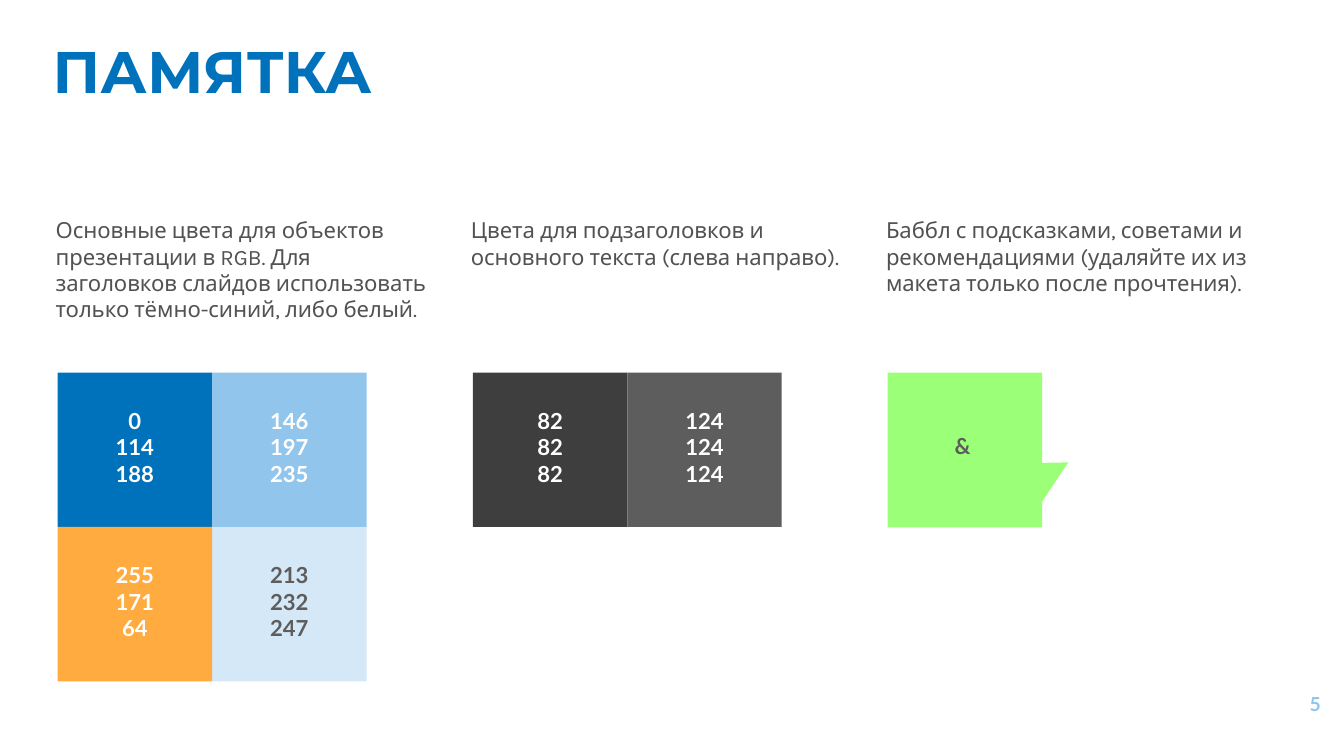
from pptx import Presentation
from pptx.dml.color import RGBColor
from pptx.enum.shapes import MSO_SHAPE
from pptx.enum.text import MSO_ANCHOR, MSO_AUTO_SIZE, PP_ALIGN
from pptx.util import Emu, Pt

PX = 9144  # 100 px to the inch
COLORS = {
    "blue": "0072BC", "sky": "92C5EB", "orange": "FFAB40", "pale": "D5E8F7",
    "dark": "3E3E3E", "gray": "5D5D5D", "green": "9BFF77",
    "body": "525252", "white": "FFFFFF",
}
SIDE = 311  # swatch side
SWATCH_TOP = 750
COLUMN_LEFT, COLUMN_STEP = 102, 836

NOTES = [
    "Основные цвета для объектов презентации в RGB. "
    "Для заголовков слайдов использовать только тёмно-синий, либо белый.",
    "Цвета для подзаголовков и основного текста (слева направо).",
    "Баббл с подсказками, советами и рекомендациями "
    "(удаляйте их из макета только после прочтения).",
]
# left of the block, column, row, fill, text colour, RGB values
SWATCHES = [
    (116, 0, 0, "blue", "white", (0, 114, 188)),
    (116, 1, 1, "pale", "gray", (213, 232, 247)),
    (116, 1, 0, "sky", "white", (146, 197, 235)),
    (116, 0, 1, "orange", "white", (255, 171, 64)),
    (952, 0, 0, "dark", "white", (82, 82, 82)),
    (952, 1, 0, "gray", "white", (124, 124, 124)),
]


def box(*lengths):
    return [Emu(n * PX) for n in lengths]


def rgb(name):
    return RGBColor.from_string(COLORS[name])


def set_frame(tf, anchor=MSO_ANCHOR.TOP, inset=10):
    tf.word_wrap = True
    tf.auto_size = MSO_AUTO_SIZE.NONE
    tf.vertical_anchor = anchor
    tf.margin_left = tf.margin_right = Emu(inset * PX)
    tf.margin_top = tf.margin_bottom = Emu(inset * PX)


def write(p, text, font, size, color, bold=True, align=PP_ALIGN.LEFT):
    p.alignment = align
    r = p.add_run()
    r.text = text
    r.font.name = font
    r.font.size = Pt(size)
    r.font.bold = bold
    r.font.color.rgb = rgb(color)
    return r


def add_title(s, text):
    sp = s.shapes.title
    sp.left, sp.top, sp.width, sp.height = box(96, 61, 2526, 323)
    set_frame(sp.text_frame)
    p = sp.text_frame.paragraphs[0]
    p.line_spacing = 1.0
    write(p, text, "Montserrat", 85, "blue")


def add_note(s, left, text):
    tf = s.shapes.add_textbox(*box(left, 427, 779, 284)).text_frame
    set_frame(tf)
    p = tf.paragraphs[0]
    p.line_spacing = Pt(38)
    p.space_after = Pt(16)
    r = write(p, text, "Karla", 32, "body", bold=False)
    r.font._element.set("spc", "-10")


def add_block(shapes, kind, left, top, height, fill):
    sp = shapes.add_shape(kind, *box(left, top, SIDE, height))
    sp.shadow.inherit = False
    sp.fill.solid()
    sp.fill.fore_color.rgb = rgb(fill)
    sp.line.fill.background()
    return sp


def add_label(shapes, bounds, lines, color, align):
    tf = shapes.add_textbox(*box(*bounds)).text_frame
    set_frame(tf, inset=5)
    tf.margin_left = tf.margin_right = Emu(10 * PX)
    for i, line in enumerate(lines):
        p = tf.add_paragraph() if i else tf.paragraphs[0]
        write(p, str(line), "Lato", 32, color, align=align)


def add_swatch(s, block_left, col, row, fill, color, values):
    left, top = block_left + col * SIDE, SWATCH_TOP + row * SIDE
    shapes = s.shapes.add_group_shape().shapes
    add_block(shapes, MSO_SHAPE.RECTANGLE, left, top, SIDE, fill)
    add_label(shapes, (left + 88, top + 65, 135, 173), values, color,
              PP_ALIGN.CENTER)


def add_bubble(s, left):
    shapes = s.shapes.add_group_shape().shapes
    sp = add_block(shapes, MSO_SHAPE.RECTANGULAR_CALLOUT, left, SWATCH_TOP,
                   312, "green")
    sp.adjustments[0] = 0.67
    sp.adjustments[1] = 0.08
    add_label(shapes, (left + 125, SWATCH_TOP + 116, 55, 64), ["&"], "gray",
              PP_ALIGN.LEFT)


def add_page_number(s, number):
    tf = s.shapes.add_textbox(*box(2507, 1360, 162, 115)).text_frame
    set_frame(tf, MSO_ANCHOR.MIDDLE)
    write(tf.paragraphs[0], number, "Lato", 28, "sky", align=PP_ALIGN.RIGHT)


def main():
    prs = Presentation()
    prs.slide_width, prs.slide_height = box(2706, 1500)
    s = prs.slides.add_slide(prs.slide_layouts[5])

    add_title(s, "ПАМЯТКА")
    add_page_number(s, "5")

    # Colour swatches and the hint bubble
    for swatch in SWATCHES:
        add_swatch(s, *swatch)
    add_bubble(s, 1787)

    # Explanations above each block
    for i, text in enumerate(NOTES):
        add_note(s, COLUMN_LEFT + i * COLUMN_STEP, text)

    prs.save("out.pptx")


if __name__ == "__main__":
    main()
